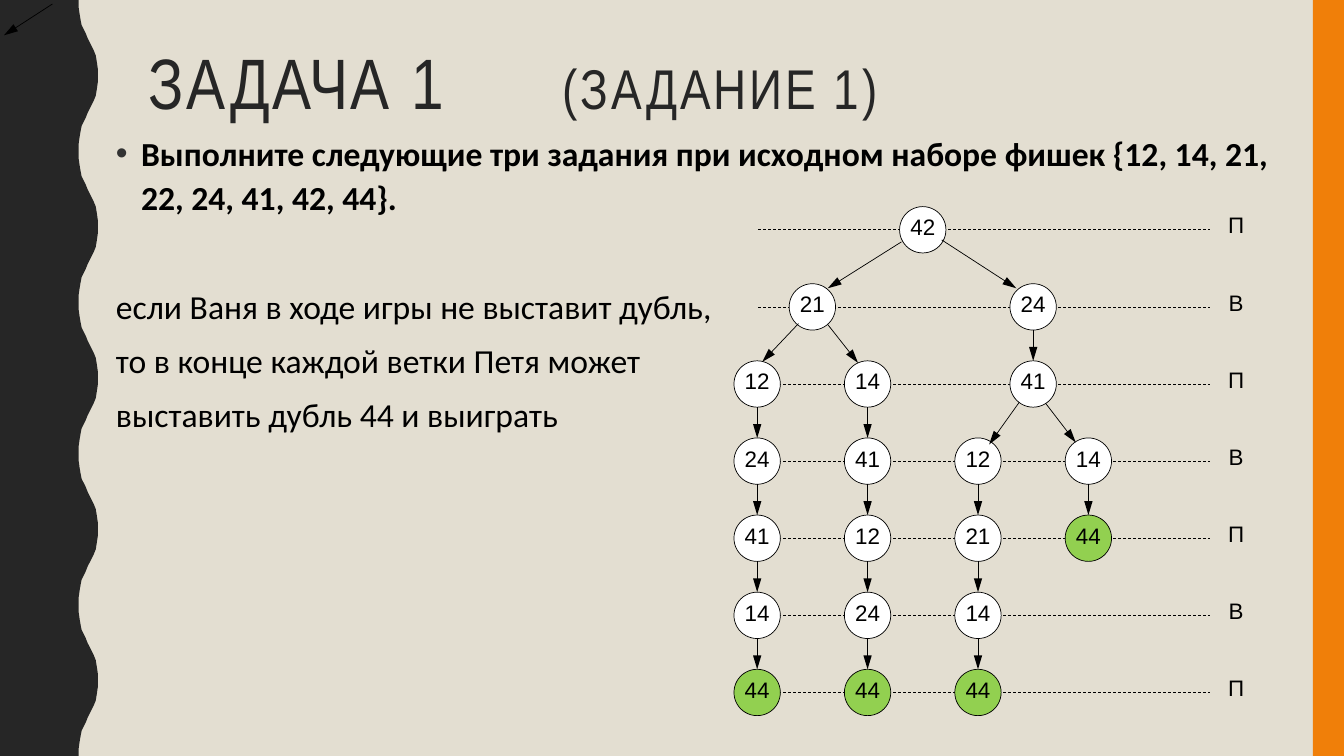
from lxml.etree import SubElement
from pptx import Presentation
from pptx.dml.color import RGBColor
from pptx.enum.dml import MSO_LINE
from pptx.enum.shapes import MSO_CONNECTOR, MSO_SHAPE
from pptx.enum.text import MSO_ANCHOR, MSO_AUTO_SIZE, PP_ALIGN
from pptx.oxml.ns import qn
from pptx.util import Inches, Pt


def color(hex_string):
    return RGBColor.from_string(hex_string)


def add_line(start, end, arrow):
    connector = slide.shapes.add_connector(
        MSO_CONNECTOR.STRAIGHT, *[Inches(value) for value in (*start, *end)])
    connector.line.color.rgb = color("000000")
    connector.line.width = Pt(0.5)
    if arrow:
        SubElement(connector.line._get_or_add_ln(), qn("a:tailEnd"), type="triangle", w="med", len="lg")
    else:
        connector.line.dash_style = MSO_LINE.DASH
    SubElement(connector._element.spPr, qn("a:effectLst"))


presentation = Presentation()
presentation.slide_width = Inches(13.33)
presentation.slide_height = Inches(7.5)
slide = presentation.slides.add_slide(presentation.slide_layouts[1])
slide.background.fill.solid()
slide.background.fill.fore_color.rgb = color("E3DED1")

half_wave = [(78, 0), (78, 7), (79, 14), (80, 20), (81, 25), (83, 29), (85, 33), (87, 38),
             (89, 42), (91, 46), (93, 50), (95, 55), (96, 61), (97, 68), (97, 75)]
wave = half_wave + [(x, 150 - y) for x, y in reversed(half_wave[:-1])]
edge = [(x, y + 150 * crest) for crest in range(5) for x, y in wave]
builder = slide.shapes.build_freeform(0, 0, scale=Inches(0.01))
builder.add_line_segments(edge + [(0, 750)], close=True)
wavy_band = builder.convert_to_shape()
right_band = slide.shapes.add_shape(
    MSO_SHAPE.RECTANGLE, Inches(13.02), 0, Inches(0.31), presentation.slide_height)
for band, fill in ((wavy_band, "262626"), (right_band, "F07F09")):
    band.shadow.inherit = False
    band.fill.solid()
    band.fill.fore_color.rgb = color(fill)
    band.line.fill.background()

title = slide.shapes.title
body = slide.placeholders[1]
frame_format = {"word_wrap": True, "auto_size": MSO_AUTO_SIZE.NONE, "vertical_anchor": MSO_ANCHOR.TOP}
for placeholder, box in ((title, (1.37, 0.42, 11.13, 1.63)), (body, (1.05, 1.23, 11.88, 5.96))):
    for name, value in zip(("left", "top", "width", "height"), box):
        setattr(placeholder, name, Inches(value))
    for name, value in frame_format.items():
        setattr(placeholder.text_frame, name, value)

paragraph = title.text_frame.paragraphs[0]
paragraph.alignment = PP_ALIGN.LEFT
paragraph.line_spacing = 0.9
tab_list = SubElement(paragraph._p.get_or_add_pPr(), qn("a:tabLst"))
SubElement(tab_list, qn("a:tab"), pos=str(Inches(4.11)), algn="l")
for text, size in (("ЗАДАЧА 1\t", 51), ("(ЗАДАНИЕ 1)", 40)):
    run = paragraph.add_run()
    run.text = text
    for name, value in {"name": "Arial Narrow", "size": Pt(size), "bold": False}.items():
        setattr(run.font, name, value)
    run.font.color.rgb = color("262626")
    run._r.get_or_add_rPr().set("spc", "200")

body_lines = [
    ("Выполните следующие три задания при исходном наборе фишек {12, 14, 21, 22, 24, 41, 42, 44}.", True, 7),
    ("если Ваня в ходе игры не выставит дубль,", False, 46),
    ("то в конце каждой ветки Петя может", False, 7),
    ("выставить дубль 44 и выиграть", False, 7),
]
body.text_frame.text = "\n".join(text for text, bold, gap in body_lines)
for paragraph, (text, bold, gap) in zip(body.text_frame.paragraphs, body_lines):
    for name, value in {"line_spacing": 1.1, "space_before": Pt(gap), "alignment": PP_ALIGN.LEFT}.items():
        setattr(paragraph, name, value)
    font = paragraph.runs[0].font
    for name, value in {"name": "Calibri", "size": Pt(24), "bold": bold}.items():
        setattr(font, name, value)
    font.color.rgb = color("000000")
    properties = paragraph._p.get_or_add_pPr()
    indent = Inches(0.25) if bold else 0
    properties.set("marL", str(indent))
    properties.set("indent", str(-indent))
    if bold:
        bullet_color = SubElement(properties, qn("a:buClr"))
        SubElement(bullet_color, qn("a:srgbClr"), val="323232")
        SubElement(properties, qn("a:buFont"), typeface="Arial")
        SubElement(properties, qn("a:buChar"), char="•")
    else:
        SubElement(properties, qn("a:buNone"))

add_line((0.52, 0.04), (0.04, 0.35), True)

first_column, column_step = 7.51, 1.095
first_row, row_step = 2.28, 0.765
diameter = 0.46
radius = diameter / 2
tree = [
    {1.5: "42"},
    {0.5: "21", 2.5: "24"},
    {0: "12", 1: "14", 2.5: "41"},
    {0: "24", 1: "41", 2: "12", 3: "14"},
    {0: "41", 1: "12", 2: "21", 3: "44"},
    {0: "14", 1: "24", 2: "14"},
    {0: "44", 1: "44", 2: "44"},
]
row_centers = [first_row + row_step * row for row in range(len(tree))]
for center in row_centers:
    add_line((7.52, center), (12, center), False)

labels = []
for row, (nodes, center) in enumerate(zip(tree, row_centers)):
    for column, number in nodes.items():
        x = first_column + column_step * column
        circle = slide.shapes.add_shape(
            MSO_SHAPE.OVAL, Inches(x - radius), Inches(center - radius), Inches(diameter), Inches(diameter))
        circle.shadow.inherit = False
        circle.fill.solid()
        circle.fill.fore_color.rgb = color("92D050" if number == "44" else "FFFFFF")
        circle.line.color.rgb = color("000000")
        circle.line.width = Pt(0.5)
        labels.append((circle, number, 0))
    player = slide.shapes.add_textbox(
        Inches(12.04), Inches(center - radius), Inches(0.44), Inches(diameter))
    labels.append((player, "ПВ"[row % 2], 0.05))

for shape, text, margin in labels:
    frame = shape.text_frame
    frame_format = {"margin_left": 0, "margin_right": 0, "margin_top": Inches(margin),
                    "margin_bottom": Inches(margin), "word_wrap": True, "vertical_anchor": MSO_ANCHOR.TOP}
    for name, value in frame_format.items():
        setattr(frame, name, value)
    frame.text = text
    paragraph = frame.paragraphs[0]
    paragraph.alignment = PP_ALIGN.CENTER
    font = paragraph.runs[0].font
    font.name = "Arial"
    font.size = Pt(16)
    font.color.rgb = color("000000")

for row in range(len(tree) - 1):
    for column in tree[row]:
        if column in tree[row + 1]:
            x = first_column + column_step * column
            add_line((x, row_centers[row] + radius), (x, row_centers[row + 1] - radius), True)

branches = [
    ((8.94, 2.4), (8.21, 2.86)),
    ((9.34, 2.38), (10.08, 2.86)),
    ((7.92, 3.21), (7.56, 3.59)),
    ((8.21, 3.22), (8.51, 3.6)),
    ((10.11, 3.99), (9.81, 4.41)),
    ((10.37, 4), (10.67, 4.39)),
]
for start, end in branches:
    add_line(start, end, True)

presentation.save("out.pptx")
